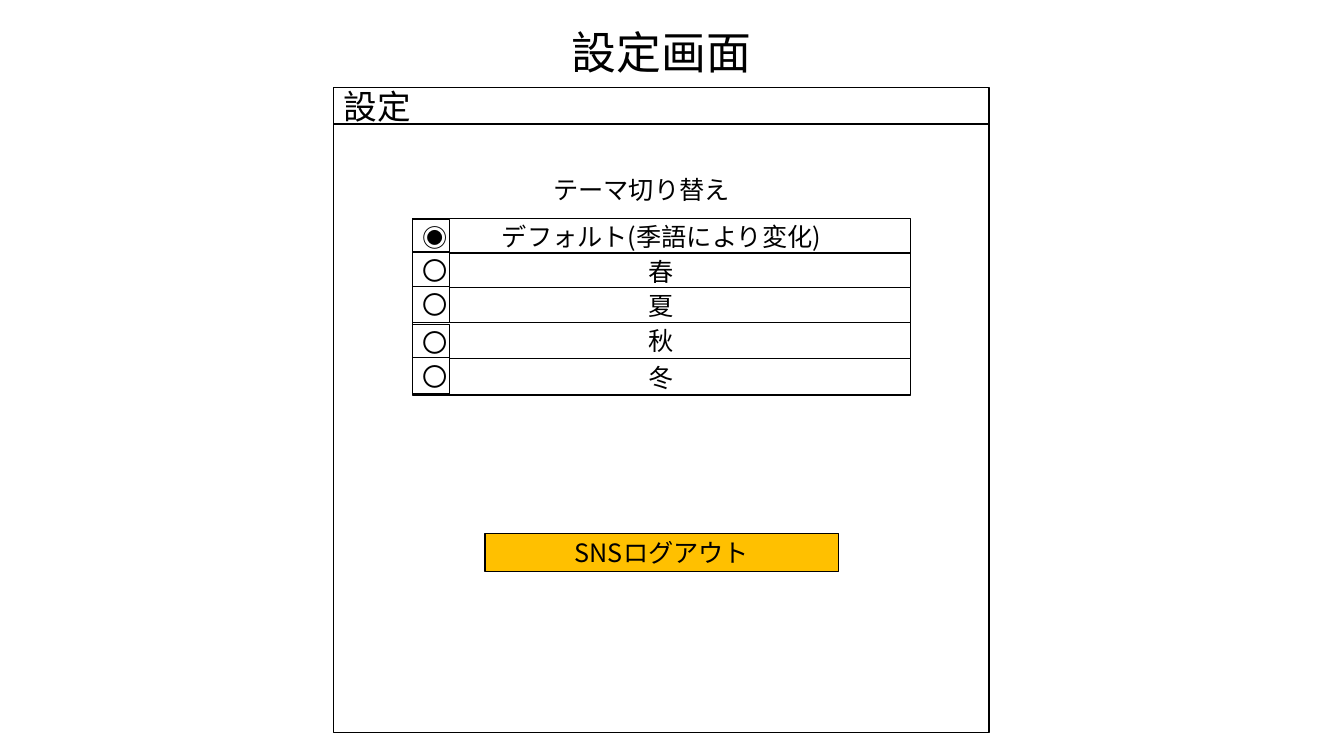
from dataclasses import dataclass

from lxml.etree import SubElement
from pptx import Presentation
from pptx.dml.color import RGBColor
from pptx.enum.shapes import MSO_SHAPE
from pptx.enum.text import MSO_ANCHOR, PP_ALIGN
from pptx.oxml.ns import qn
from pptx.util import Inches, Pt


@dataclass(frozen=True)
class Theme:
    font: str = "Noto Sans CJK JP"
    ink: RGBColor = RGBColor(0, 0, 0)
    paper: RGBColor = RGBColor(255, 255, 255)
    button: RGBColor = RGBColor(255, 192, 0)
    title_size: int = 32
    header_size: int = 24
    body_size: int = 18
    line_width: int = 1


THEME = Theme()

WINDOW_LEFT, WINDOW_WIDTH = 3.31, 6.5
LIST_LEFT, LIST_WIDTH = 4.09, 4.94
RADIO_WIDTH, ROW_HEIGHT = 0.37, 0.36

# Label, top of the row, top of its radio cell
THEME_OPTIONS = [
    ("デフォルト(季語により変化)", 2.17, 2.18),
    ("春", 2.51, 2.5),
    ("夏", 2.85, 2.84),
    ("秋", 3.2, 3.22),
    ("冬", 3.56, 3.55),
]


def set_text(shape, text, size, align, anchor=MSO_ANCHOR.MIDDLE):
    text_frame = shape.text_frame
    text_frame.word_wrap = True
    text_frame.vertical_anchor = anchor
    text_frame.text = text
    paragraph = text_frame.paragraphs[0]
    paragraph.alignment = align
    for run in paragraph.runs:
        run.font.size = Pt(size)
        run.font.name = THEME.font
        run.font.color.rgb = THEME.ink
        # East Asian characters take their font from a separate element
        SubElement(run.font._element, qn("a:ea"), typeface=THEME.font)
    return paragraph


def add_label(slide, box, text, size, align, anchor):
    shape = slide.shapes.add_textbox(*map(Inches, box))
    return set_text(shape, text, size, align, anchor)


def add_box(slide, box, text="", size=THEME.body_size,
            align=PP_ALIGN.CENTER, fill=THEME.paper):
    shape = slide.shapes.add_shape(MSO_SHAPE.RECTANGLE, *map(Inches, box))
    shape.shadow.inherit = False
    shape.fill.solid()
    shape.fill.fore_color.rgb = fill
    shape.line.color.rgb = THEME.ink
    shape.line.width = Pt(THEME.line_width)
    if text:
        set_text(shape, text, size, align)


def add_option_list(slide):
    for label, row_top, _ in THEME_OPTIONS:
        add_box(slide, (LIST_LEFT, row_top, LIST_WIDTH, ROW_HEIGHT), label)
    for index, (_, _, radio_top) in enumerate(THEME_OPTIONS):
        mark = "◉" if index == 0 else "〇"
        add_box(slide, (LIST_LEFT, radio_top, RADIO_WIDTH, ROW_HEIGHT), mark)


def main():
    presentation = Presentation()
    presentation.slide_width = Inches(13.33)
    presentation.slide_height = Inches(7.5)
    slide = presentation.slides.add_slide(presentation.slide_layouts[6])

    # Title
    title = add_label(slide, (1.12, 0.22, 10.88, 0.65), "設定画面",
                      THEME.title_size, PP_ALIGN.CENTER, MSO_ANCHOR.MIDDLE)
    title.line_spacing = 0.9

    # Window and its header bar
    add_box(slide, (WINDOW_LEFT, 1.23, WINDOW_WIDTH, 6.04))
    add_box(slide, (WINDOW_LEFT, 0.87, WINDOW_WIDTH, 0.36), "設定",
            THEME.header_size, PP_ALIGN.LEFT)

    # Theme choice
    add_label(slide, (5.39, 1.68, 2.33, 0.4), "テーマ切り替え",
              THEME.body_size, PP_ALIGN.LEFT, MSO_ANCHOR.TOP)
    add_option_list(slide)

    # Logout button
    add_box(slide, (4.81, 5.29, 3.51, 0.38), "SNSログアウト",
            fill=THEME.button)

    presentation.save("out.pptx")


main()
